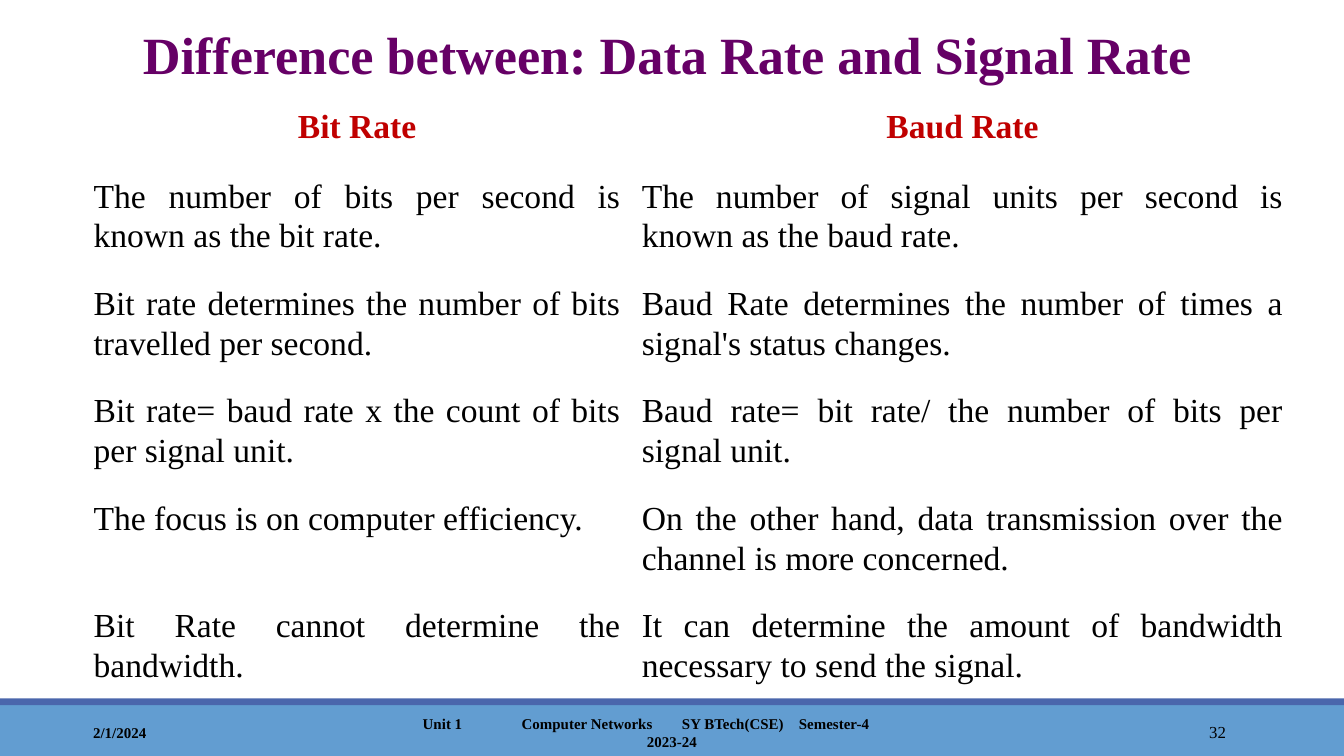
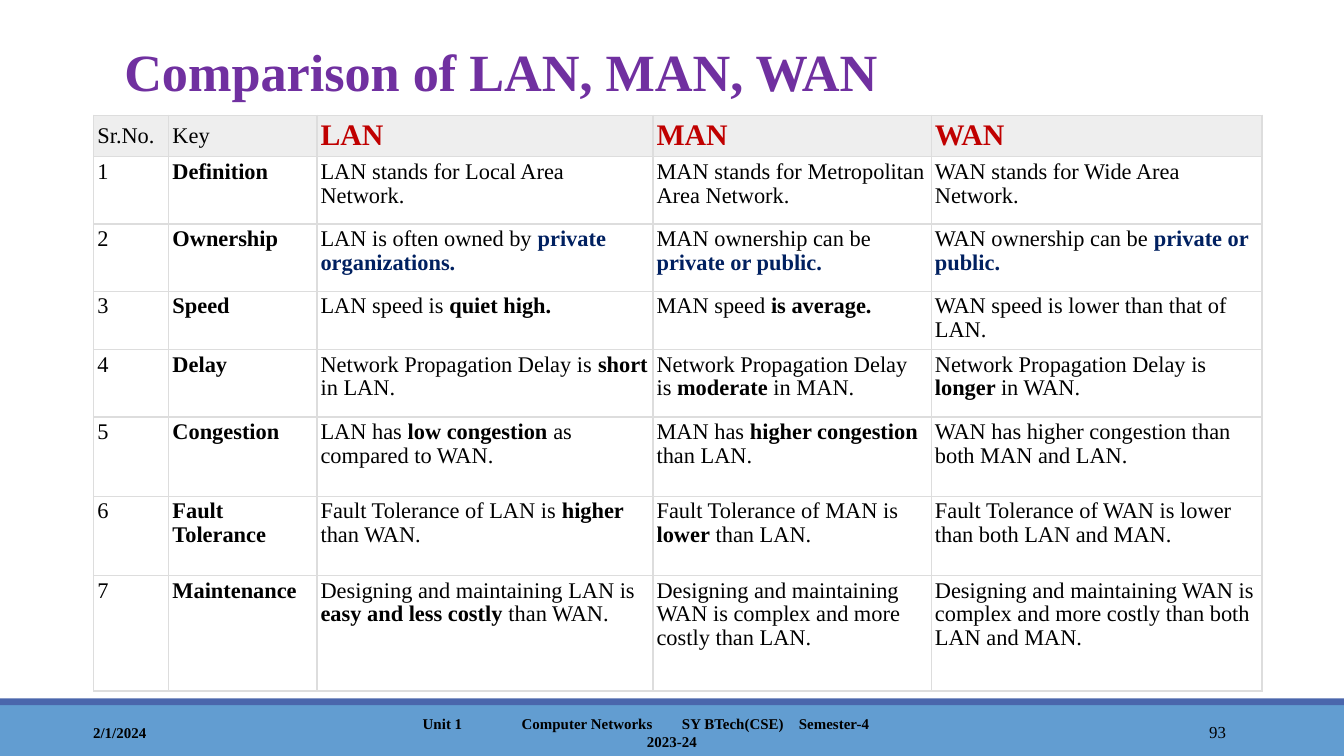
from lxml import etree
from pptx import Presentation
from pptx.dml.color import RGBColor
from pptx.enum.shapes import MSO_SHAPE
from pptx.enum.text import MSO_ANCHOR, PP_ALIGN
from pptx.oxml.ns import qn
from pptx.util import Cm, Pt

RECT = MSO_SHAPE.RECTANGLE
TOP, MID = MSO_ANCHOR.TOP, MSO_ANCHOR.MIDDLE
LEFT, RIGHT = PP_ALIGN.LEFT, PP_ALIGN.RIGHT
MIDDLE, FULL = PP_ALIGN.CENTER, PP_ALIGN.JUSTIFY

FONT = "Times New Roman"
BLACK = RGBColor(0x00, 0x00, 0x00)
RED = RGBColor(0xC0, 0x00, 0x00)
NAVY = RGBColor(0x00, 0x20, 0x60)
PLUM = RGBColor(0x66, 0x00, 0x66)
PURPLE = RGBColor(0x70, 0x30, 0xA0)
SKY = RGBColor(0x62, 0x9D, 0xD1)
BLUE = RGBColor(0x4A, 0x66, 0xAC)
GREY = RGBColor(0xEE, 0xEE, 0xEE)
EDGE = "DDDDDD"
PLAIN = "{2D5ABB26-0587-4C30-8999-92F81FD0307C}"  # no style, no grid

TABS = (0.13, 2, 5.03, 7.24)
UNIT = "\tUnit 1\tComputer Networks\tSY BTech(CSE)\tSemester-4"

RATES = [
    ("Bit Rate", "Baud Rate"),
    ("The number of bits per second is known as the bit rate.",
     "The number of signal units per second is known as the baud rate."),
    ("Bit rate determines the number of bits travelled per second.",
     "Baud Rate determines the number of times a signal's status changes."),
    ("Bit rate= baud rate x the count of bits per signal unit.",
     "Baud rate= bit rate/ the number of bits per signal unit."),
    ("The focus is on computer efficiency.",
     "On the other hand, data transmission over the channel is more concerned."),
    ("Bit Rate cannot determine the bandwidth.",
     "It can determine the amount of bandwidth necessary to send the signal."),
]

# Text between asterisks is bold.
NETS = [
    ("Sr.No.", "Key", "*LAN*", "*MAN*", "*WAN*"),
    ("1", "*Definition*", "LAN stands for Local Area Network.",
     "MAN stands for Metropolitan Area Network.",
     "WAN stands for Wide Area Network."),
    ("2", "*Ownership*", "LAN is often owned by *private organizations.*",
     "MAN ownership can be *private or public.*",
     "WAN ownership can be *private or public.*"),
    ("3", "*Speed*", "LAN speed is *quiet high.*", "MAN speed *is average.*",
     "WAN speed is lower than that of LAN."),
    ("4", "*Delay*", "Network Propagation Delay is *short *in LAN.",
     "Network Propagation Delay is *moderate* in MAN.",
     "Network Propagation Delay is *longer *in WAN."),
    ("5", "*Congestion*", "LAN has *low congestion *as compared to WAN.",
     "MAN has *higher congestion *than LAN.",
     "WAN has higher congestion than both MAN and LAN."),
    ("6", "*Fault Tolerance*", "Fault Tolerance of LAN is *higher* than WAN.",
     "Fault Tolerance of MAN is *lower* than LAN.",
     "Fault Tolerance of WAN is lower than both LAN and MAN."),
    ("7", "*Maintenance*",
     "Designing and maintaining LAN is *easy and less costly *than WAN.",
     "Designing and maintaining WAN is complex and more costly than LAN.",
     "Designing and maintaining WAN is complex and more costly than both "
     "LAN and MAN."),
]

PAGES = [
    ("Difference between: Data Rate and Signal Rate", PLUM,
     (2.51, 0.33, 20.4, 1.73), "32"),
    ("Comparison of LAN, MAN, WAN", PURPLE, (2.16, 0.64, 21.23, 2.36), "93"),
]


def add_text(slide, place, lines, size, tint=BLACK, bold=True, side=LEFT,
             anchor=MID):
    box = slide.shapes.add_textbox(*map(Cm, place))
    frame = box.text_frame
    frame.word_wrap = True
    frame.vertical_anchor = anchor
    frame.margin_left = frame.margin_right = Cm(0.19)
    frame.margin_top = frame.margin_bottom = Cm(0.1)
    frame.text = lines
    for para in frame.paragraphs:
        para.alignment = side
        font = para.font
        font.name, font.size, font.bold = FONT, Pt(size), bold
        font.color.rgb = tint
    return frame


def add_grid(slide, left, top, cols, rows):
    """Add an unstyled table with the given column widths and row heights."""
    shape = slide.shapes.add_table(len(rows), len(cols), Cm(left), Cm(top),
                                   Cm(sum(cols)), Cm(sum(rows)))
    grid = shape.table
    grid.horz_banding = grid.first_row = False
    grid._tbl.tblPr.find(qn("a:tableStyleId")).text = PLAIN
    for col, width in zip(grid.columns, cols):
        col.width = Cm(width)
    for row, height in zip(grid.rows, rows):
        row.height = Cm(height)
    return grid


deck = Presentation()
deck.slide_width, deck.slide_height = Cm(25.4), Cm(14.29)

slides = []
for title, tint, place, number in PAGES:
    slide = deck.slides.add_slide(deck.slide_layouts[6])
    slides.append(slide)
    for top, height, fill in ((13.33, 0.96, SKY), (13.2, 0.13, BLUE)):
        band = slide.shapes.add_shape(RECT, 0, Cm(top), deck.slide_width,
                                      Cm(height))
        band.shadow.inherit = False
        band.fill.solid()
        band.fill.fore_color.rgb = fill
        band.line.fill.background()
    add_text(slide, (20.62, 13.46, 2.74, 0.76), number, 9, bold=False,
             side=RIGHT)
    add_text(slide, place, title, 28, tint, anchor=TOP)
    add_text(slide, (1.57, 13.46, 5.72, 0.76), "2/1/2024", 8)
    foot = add_text(slide, (7.67, 13.46, 10.06, 0.76), UNIT + "\n2023-24", 8)
    unit, year = foot.paragraphs
    year.alignment = MIDDLE
    props = unit._p.get_or_add_pPr()
    stops = etree.Element(qn("a:tabLst"))
    props.insert(0, stops)
    for stop in TABS:
        etree.SubElement(stops, qn("a:tab"), pos=str(Cm(stop)), algn="l")

# Data rate and signal rate
grid = add_grid(slides[0], 1.57, 1.7, (10.36, 12.52), [0.89] + [1.96] * 5)
for r, row in enumerate(RATES):
    for c, words in enumerate(row):
        cell = grid.cell(r, c)
        cell.fill.background()
        pad = Cm(0.2 if r else 0.3)
        cell.margin_left = cell.margin_right = pad
        cell.margin_top = cell.margin_bottom = pad
        cell.text = words
        para = cell.text_frame.paragraphs[0]
        para.alignment = FULL if r else MIDDLE
        para.line_spacing = 1.07
        font = para.font
        font.name, font.size, font.bold = FONT, Pt(18), r == 0
        font.color.rgb = BLACK if r else RED

# LAN, MAN and WAN
grid = add_grid(slides[1], 1.77, 2.18, (1.42, 2.8, 6.35, 5.26, 6.25),
                (0.38, 1.27, 1.27, 0.84, 1.27, 1.5, 1.5, 2.18))
for r, row in enumerate(NETS):
    for c, words in enumerate(row):
        cell = grid.cell(r, c)
        cell.margin_left = cell.margin_right = Cm(0.07)
        cell.margin_top = cell.margin_bottom = Cm(0.07)
        cell.vertical_anchor = TOP if r else MID
        props = cell._tc.get_or_add_tcPr()
        for side in ("a:lnL", "a:lnR", "a:lnT", "a:lnB"):
            line = etree.SubElement(props, qn(side), w=str(Pt(0.75)))
            fill = etree.SubElement(line, qn("a:solidFill"))
            etree.SubElement(fill, qn("a:srgbClr"), val=EDGE)
        if r:
            cell.fill.background()
        else:
            cell.fill.solid()
            cell.fill.fore_color.rgb = GREY
        para = cell.text_frame.paragraphs[0]
        para.line_spacing = 0.95
        head = r == 0 and c > 1
        para.font.name, para.font.size = FONT, Pt(16 if head else 12)
        para.font.color.rgb = RED if head else BLACK
        for i, part in enumerate(words.split("*")):
            if part:
                run = para.add_run()
                run.text = part
                run.font.bold = i % 2 == 1
                if run.font.bold and r == 2 and c > 1:
                    run.font.color.rgb = NAVY

deck.save("out.pptx")
